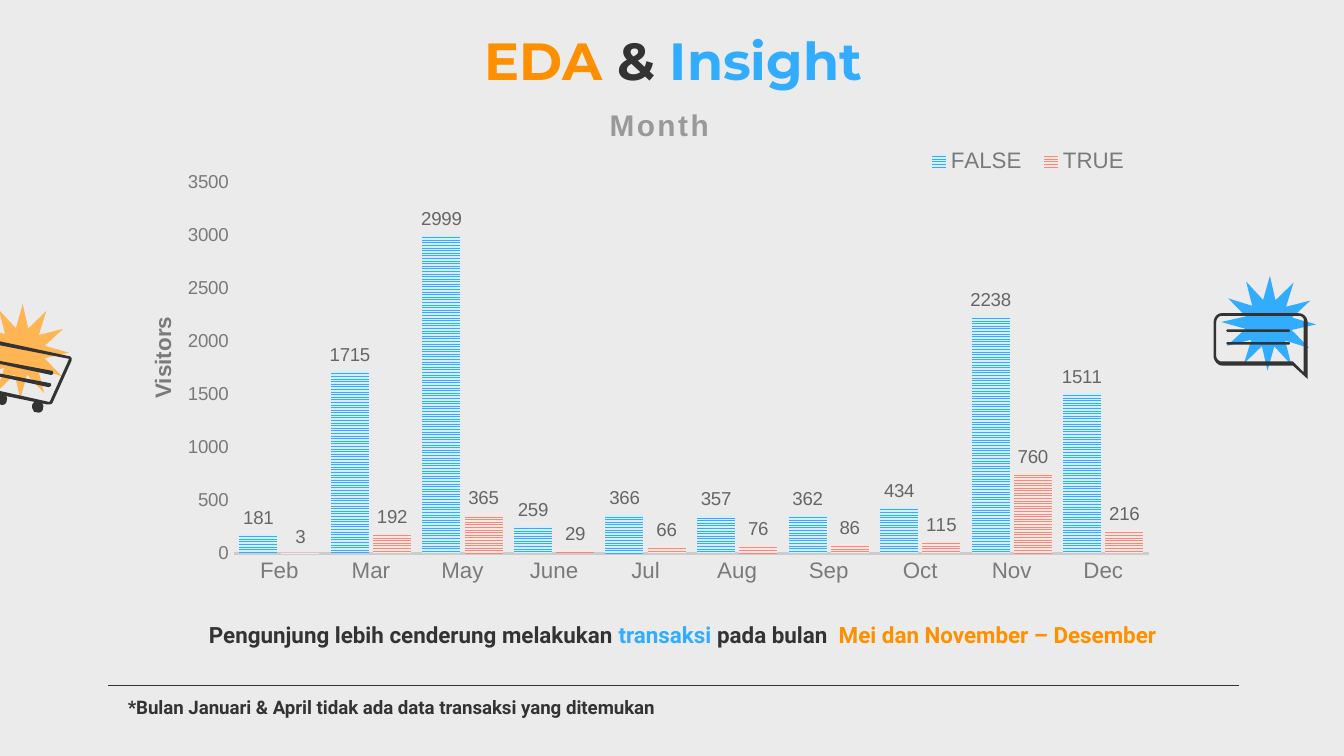
"""Build the EDA & Insight slide: monthly visitors by transaction."""
from dataclasses import dataclass
from math import cos, radians, sin

from lxml import etree
from pptx import Presentation
from pptx import util as u
from pptx.chart.data import CategoryChartData
from pptx.dml.color import RGBColor
from pptx.enum import chart as ch, dml, shapes, text
from pptx.oxml import parse_xml
from pptx.oxml.ns import nsdecls, qn

COLUMNS, ROWS = 1000, 562.5
CELL = u.Inches(10) // COLUMNS
DARK, BLUE, ORANGE, GREY = "333333", "31ACFF", "FE9000", "7A7A7A"
MONTHS = ["Feb", "Mar", "May", "June", "Jul", "Aug", "Sep", "Oct", "Nov", "Dec"]


@dataclass
class Outline:
    contours: str
    dx: float = 0
    dy: float = 0


@dataclass
class Star:
    x: float
    y: float
    color: str


@dataclass
class Series:
    name: str
    values: list[int]
    front: str
    back: str


BUBBLE_BAR = "M914,245 C912,245,912,247,914,247 L959,247 C960,247,960,245,959,245"
WHEEL = "M2,293 C-2,292,-5,296,-2,300 C-2,301,-1,301,0,301 C2,302,5,301,5,298 C6,296,4,293,2,293"
STARS = [Star(944, 240.5, BLUE), Star(16, 261.5, "FFB554")]
OUTLINES = [
    Outline("M909,235 L966,235 C969,235,971,237,970,240 L970,277 L962,269 L909,269 "
            "C907,269,905,267,905,265 L905,240 C905,237,907,235,909,235 "
            "M909,233 C906,233,903,236,903,240 L903,265 C903,268,906,272,909,272 "
            "L962,272 L973,282 L973,240 C973,236,970,233,966,233"),
    Outline(BUBBLE_BAR),
    Outline(BUBBLE_BAR, dy=9.5),
    Outline("M-34,231 C-36,231,-36,233,-35,233 L-16,237 C-15,237,-15,238,-14,238 "
            "L-12,289 C-11,290,-11,291,-9,292 L35,301 C37,301,38,301,39,300 "
            "L53,269 C54,267,53,265,51,265 L-5,253 C-6,253,-6,255,-5,256 "
            "L51,267 C51,267,51,268,51,268 L37,299 L36,299 L-9,289 "
            "L-12,238 C-12,237,-14,235,-15,235"),
    Outline("M-3,268 C-5,268,-5,269,-4,270 L38,279 C40,279,40,277,39,276"),
    Outline("M-5,277 C-6,276,-6,277,-7,277 C-7,278,-6,279,-6,279 "
            "L36,288 C37,288,38,287,38,287 C38,286,38,285,37,285"),
    Outline(WHEEL),
    Outline(WHEEL, dx=27, dy=5.7),
]
SERIES = [
    Series("FALSE", [181, 1715, 2999, 259, 366, 357, 362, 434, 2238, 1511], BLUE, "D6EEFF"),
    Series("TRUE", [3, 192, 365, 29, 66, 76, 86, 115, 760, 216], "F6897A", "FDE7E4"),
]


def rgb(color: str) -> RGBColor:
    """Turn a hex string into a colour."""
    return RGBColor.from_string(color)


def cells(*counts: float) -> list[int]:
    """Turn grid counts into slide lengths."""
    return [round(n * CELL) for n in counts]


def style(font, size: float, color: str, name: str = "Arial", bold: bool = False) -> None:
    """Format a font."""
    font.size, font.name, font.bold = u.Pt(size), name, bold
    font.color.rgb = rgb(color)


def trace(outline: Outline) -> list[list[tuple[float, float]]]:
    """Turn move, line and curve tokens into lists of points."""
    contours = []
    for token in outline.contours.split():
        n = [float(v) for v in token[1:].split(",")]
        pairs = [(x + outline.dx, y + outline.dy) for x, y in zip(n[::2], n[1::2])]
        if token[0] == "M":
            contours.append(pairs)
        elif token[0] == "L":
            contours[-1] += pairs
        else:
            a, b, c, d = contours[-1][-1], *pairs
            for t in (k / 6 for k in range(1, 7)):
                w = ((1 - t) ** 3, 3 * t * (1 - t) ** 2, 3 * t * t * (1 - t), t ** 3)
                contours[-1].append(tuple(sum(f * q[i] for f, q in zip(w, (a, b, c, d)))
                                          for i in (0, 1)))
    return contours


def star_points(star: Star) -> list[tuple[float, float]]:
    """Alternate the tips and notches of a twelve-pointed star."""
    return [(star.x + r * cos(a), star.y + r * sin(a))
            for k in range(24)
            for r, a in [((35.3, 17.8)[k % 2], radians(15 * k - 88.5))]]


def draw_filled(s, contours: list[list[tuple[float, float]]], color: str) -> None:
    """Draw closed contours as one filled shape."""
    builder = None
    for points in contours:
        start, *rest = [tuple(cells(*point)) for point in points]
        if builder is None:
            builder = s.shapes.build_freeform(*start, scale=1.0)
        else:
            builder.move_to(*start)
        builder.add_line_segments(rest, close=True)
    sp = builder.convert_to_shape()
    sp.shadow.inherit = False
    sp.fill.solid()
    sp.fill.fore_color.rgb = rgb(color)
    sp.line.fill.background()


def write(sp, runs: list[tuple[str, str]], size: float, name: str, margin: float = 0) -> None:
    """Fill a text shape with one centred, bold paragraph of coloured runs."""
    tf = sp.text_frame
    tf.word_wrap, tf.auto_size = True, text.MSO_AUTO_SIZE.NONE
    tf.vertical_anchor = text.MSO_ANCHOR.TOP
    tf.margin_left = tf.margin_right = tf.margin_top = tf.margin_bottom = cells(10)[0]
    p = tf.paragraphs[0]
    p.alignment = text.PP_ALIGN.CENTER
    p._p.get_or_add_pPr().set("marL", str(cells(margin)[0]))
    for words, color in runs:
        r = p.add_run()
        r.text = words
        style(r.font, size, color, name, True)


def place(part, **shares: float) -> None:
    """Lay out a chart part at shares of the chart's size."""
    for old in part.findall(qn("c:layout")):
        part.remove(old)
    inner = part.tag == qn("c:plotArea")
    target = '<c:layoutTarget val="inner"/>' if inner else ""
    modes = "".join(f'<c:{k}Mode val="edge"/>' for k in "xy")
    sizes = "".join(f'<c:{k} val="{v}"/>' for k, v in shares.items())
    layout = parse_xml(f'<c:layout {nsdecls("c")}><c:manualLayout>{target}{modes}{sizes}'
                       '</c:manualLayout></c:layout>')
    overlay = part.find(qn("c:overlay"))
    if inner or overlay is None:
        part.insert(0 if inner else 1, layout)
    else:
        overlay.addprevious(layout)


def add_caption(title, words: str, size: float, color: str, x: float, y: float, spacing: int = 0) -> None:
    """Write and place a chart or axis title."""
    r = title.text_frame.paragraphs[0].add_run()
    r.text = words
    style(r.font, size, color, bold=True)
    r.font._element.set("spc", str(spacing))
    place(title._element, x=x, y=y)


def add_visitors_chart(s) -> None:
    """Add the clustered columns of visitors per month."""
    data = CategoryChartData()
    data.categories = MONTHS
    for item in SERIES:
        data.add_series(item.name, item.values)
    chart = s.shapes.add_chart(ch.XL_CHART_TYPE.COLUMN_CLUSTERED, *cells(104, 63, 752, 404), data).chart
    style(chart.font, 10, DARK)
    chart.has_title = True
    add_caption(chart.chart_title, "Month", 16, "999999", 0.46, 0.03, 150)

    chart.has_legend = True
    chart.legend.position = ch.XL_LEGEND_POSITION.TOP
    chart.legend.include_in_layout = False
    style(chart.legend.font, 12, GREY)
    place(chart.legend._element, x=0.77, y=0.1, w=0.22, h=0.08)

    for axis, size in ((chart.category_axis, 12), (chart.value_axis, 10)):
        axis.has_major_gridlines = False
        axis.major_tick_mark = axis.minor_tick_mark = ch.XL_TICK_MARK.NONE
        style(axis.tick_labels.font, size, GREY)
    chart.category_axis.format.line.color.rgb = rgb("CCCCCC")
    chart.category_axis.format.line.width = u.Pt(1.5)
    values = chart.value_axis
    values.format.line.fill.background()
    values.minimum_scale, values.maximum_scale, values.major_unit = 0, 3500, 500
    values.has_title = True
    add_caption(values.axis_title, "Visitors", 12, GREY, 0.005, 0.42)

    plot = chart.plots[0]
    plot.gap_width, plot.overlap, plot.vary_by_categories = 30, -11, False
    place(plot._element.getparent(), x=0.093, y=0.179, w=0.907, h=0.684)
    for item, series in zip(SERIES, plot.series):
        fill = series.format.fill
        fill.patterned()
        fill.pattern = dml.MSO_PATTERN.NARROW_HORIZONTAL
        fill.fore_color.rgb, fill.back_color.rgb = rgb(item.front), rgb(item.back)
        labels = series.data_labels
        labels.show_value, labels.position = True, ch.XL_LABEL_POSITION.OUTSIDE_END
        style(labels.font, 10, "666666")


def main() -> None:
    """Build and save the slide."""
    prs = Presentation()
    prs.slide_width, prs.slide_height = cells(COLUMNS, ROWS)
    s = prs.slides.add_slide(prs.slide_layouts[5])
    s.background.fill.solid()
    s.background.fill.fore_color.rgb = rgb("EBEBEB")
    title = s.shapes.title
    title.left, title.top, title.width, title.height = cells(62, 11, 878, 69)
    write(title, [("EDA ", ORANGE), ("& ", DARK), ("Insight", BLUE)], 28, "Montserrat")

    rule = s.shapes.add_connector(shapes.MSO_CONNECTOR.STRAIGHT, *cells(922, 510, 80, 510))
    rule.line.color.rgb, rule.line.width = rgb(DARK), u.Pt(0.75)
    etree.SubElement(rule._element.spPr, qn("a:effectLst"))

    for star in STARS:
        draw_filled(s, [star_points(star)], star.color)
    for outline in OUTLINES:
        draw_filled(s, trace(outline), DARK)

    add_visitors_chart(s)
    insight = [("Pengunjung lebih cenderung melakukan ", DARK), ("transaksi", BLUE),
               (" pada bulan ", DARK), (" Mei dan November – Desember", ORANGE)]
    note = [("*Bulan Januari & April tidak ada data transaksi yang ditemukan", DARK)]
    for left, top, size, runs in ((29, 452, 12, insight), (-188, 508, 10, note)):
        write(s.shapes.add_textbox(*cells(left, top, 943, 63)), runs, size, "Roboto", 15)
    prs.save("out.pptx")


if __name__ == "__main__":
    main()
